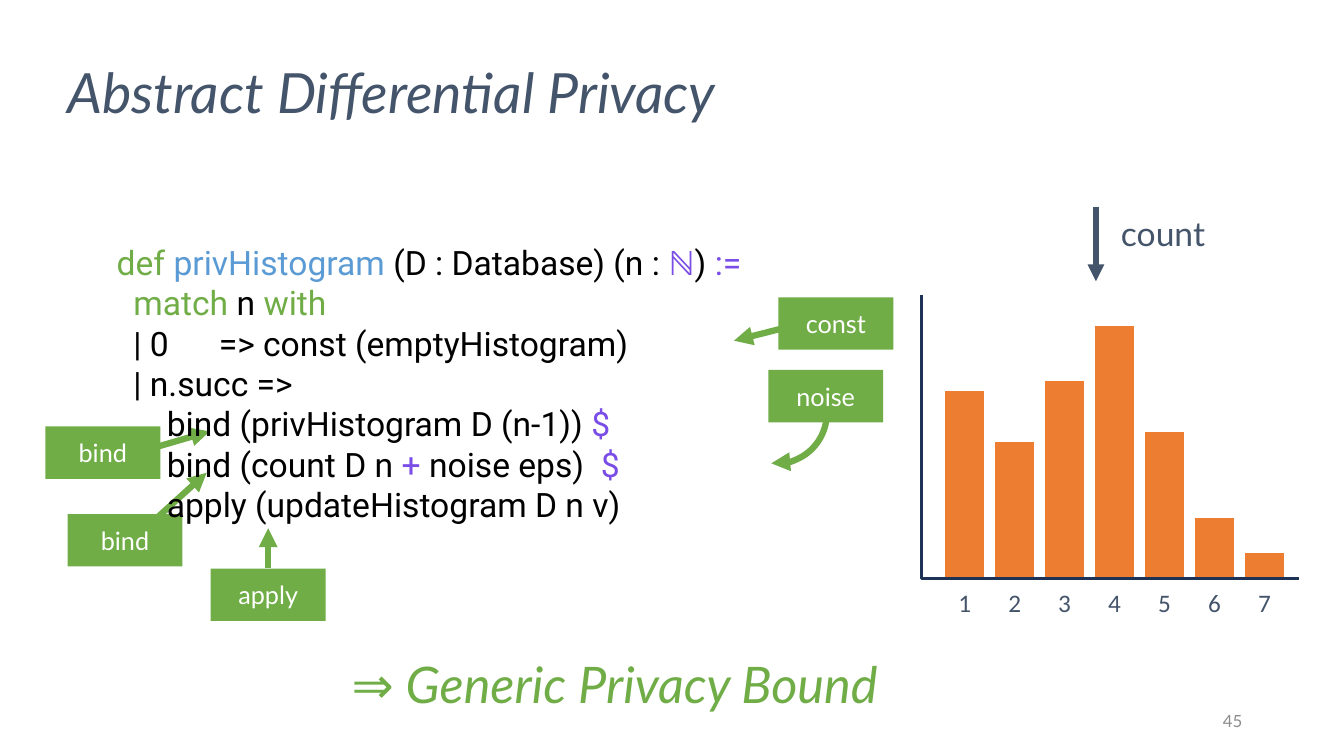
"""Build the Abstract Differential Privacy slide."""
from lxml import etree
from pptx import Presentation
from pptx.chart.data import CategoryChartData
from pptx.dml.color import RGBColor
from pptx.enum.chart import XL_CHART_TYPE as ChartType, XL_TICK_MARK as TickMark
from pptx.enum.shapes import MSO_CONNECTOR as Connector, MSO_SHAPE as Preset
from pptx.enum.text import MSO_ANCHOR as Anchor, PP_ALIGN as Align
from pptx.oxml import parse_xml
from pptx.oxml.ns import nsdecls, qn
from pptx.util import Inches, Pt

COLORS = {
    "slate": "44546A", "green": "70AD47", "orange": "ED7D31", "navy": "1E3256",
    "blue": "5B9BD5", "purple": "7A4DE7", "black": "000000", "white": "FFFFFF",
    "gray": "8C8C8C",
}
CODE = [
    [("def ", "green"), ("privHistogram", "blue"), (" (D : Database) (n : ", "black"),
     ("ℕ", "purple"), (") ", "black"), (":=", "purple")],
    [("  ", "black"), ("match", "green"), (" n ", "black"), ("with", "green")],
    [("  | 0      => const (emptyHistogram)", "black")],
    [("  | n.succ =>", "black")],
    [("      bind (privHistogram D (n-1)) ", "black"), ("$", "purple")],
    [("      bind (count D n ", "black"), ("+", "purple"),
     (" noise eps)  ", "black"), ("$", "purple")],
    [("      apply (updateHistogram D n v)", "black")],
]
COUNTS = [37, 27, 39, 50, 29, 12, 5]
COUNT_LIMIT = 56
TAGS = [("bind", 0.45, 4.23), ("apply", 2.09, 5.64), ("noise", 7.62, 3.67),
        ("const", 7.72, 2.95), ("bind", 0.67, 5.1)]
TAG_ARROWS = [((7.95, 3.21), (7.28, 3.38)), ((1.51, 5.18), (2.05, 4.69)),
              ((1.36, 4.49), (2.08, 4.28))]


def rgb(color):
    """Return the named color."""
    return RGBColor.from_string(COLORS[color])


def style_font(font, size, color, name="Lato", italic=False):
    """Set typeface, size, color and slant."""
    font.name, font.size, font.italic = name, Pt(size), italic
    font.color.rgb = rgb(color)


def add_text(slide, box, text, size, color, align=Align.LEFT,
             anchor=Anchor.MIDDLE, italic=False):
    """Add a one-line text box and return its paragraph."""
    shape = slide.shapes.add_textbox(*map(Inches, box))
    frame = shape.text_frame
    frame.word_wrap, frame.vertical_anchor = True, anchor
    paragraph = frame.paragraphs[0]
    paragraph.text, paragraph.alignment = text, align
    for run in paragraph.runs:
        style_font(run.font, size, color, italic=italic)
    return paragraph


def add_code(slide, box, lines):
    """Add the highlighted program."""
    frame = slide.shapes.add_textbox(*map(Inches, box)).text_frame
    frame.word_wrap = True
    for index, line in enumerate(lines):
        paragraph = frame.add_paragraph() if index else frame.paragraphs[0]
        for text, color in line:
            run = paragraph.add_run()
            run.text = text
            style_font(run.font, 24, color, "Roboto")


def add_tag(slide, text, left, top):
    """Add a green operator tag."""
    shape = slide.shapes.add_shape(
        Preset.RECTANGLE, *map(Inches, (left, top, 1.14, 0.52)))
    shape.shadow.inherit = False
    shape.fill.solid()
    shape.fill.fore_color.rgb = rgb("green")
    shape.line.fill.background()
    frame = shape.text_frame
    frame.text, frame.vertical_anchor = text, Anchor.MIDDLE
    paragraph = frame.paragraphs[0]
    paragraph.alignment = Align.CENTER
    style_font(paragraph.runs[0].font, 18, "white")
    return shape


def style_arrow(shape, color, width):
    """Color the line and end it in a triangle."""
    shape.line.color.rgb, shape.line.width = rgb(color), Pt(width)
    etree.SubElement(shape.line._get_or_add_ln(), qn("a:tailEnd"), type="triangle")


def add_arrow(slide, start, end, color="green", width=4.5):
    """Add a straight arrow."""
    arrow = slide.shapes.add_connector(
        Connector.STRAIGHT, *map(Inches, (*start, *end)))
    style_arrow(arrow, color, width)
    etree.SubElement(arrow._element.spPr, qn("a:effectLst"))
    return arrow


def add_arc_arrow(slide, box, rotation):
    """Add a quarter-circle arrow."""
    arc = slide.shapes.add_shape(Preset.ARC, *map(Inches, box))
    arc.rotation = rotation
    arc.fill.background()
    style_arrow(arc, "green", 4.5)
    arc.shadow.inherit = False


def add_histogram(slide):
    """Add the bar chart and its axis lines."""
    left, top, width, height = 9.14, 2.93, 3.74, 3.4
    plot_left, plot_width, plot_height = 0.18, 3.47, 2.81
    data = CategoryChartData()
    data.categories = [str(number) for number in range(1, len(COUNTS) + 1)]
    data.add_series("count", COUNTS)
    chart = slide.shapes.add_chart(
        ChartType.COLUMN_CLUSTERED,
        *map(Inches, (left, top, width, height)), data).chart
    chart.has_legend = chart.has_title = False
    style_font(chart.font, 18, "slate", "Calibri")

    plot = chart.plots[0]
    plot.vary_by_categories, plot.gap_width = False, 30
    fill = plot.series[0].format.fill
    fill.solid()
    fill.fore_color.rgb = rgb("orange")

    values = chart.value_axis
    values.minimum_scale, values.maximum_scale = 0, COUNT_LIMIT
    values.has_major_gridlines = values.visible = False
    categories = chart.category_axis
    categories.major_tick_mark = TickMark.OUTSIDE
    categories.tick_labels.offset = 200
    categories.format.line.fill.background()

    plot_area = chart._chartSpace.chart.plotArea
    for layout in plot_area.findall(qn("c:layout")):
        plot_area.remove(layout)
    plot_area.insert(0, parse_xml(
        f'<c:layout {nsdecls("c")}><c:manualLayout><c:layoutTarget val="inner"/>'
        '<c:xMode val="edge"/><c:yMode val="edge"/>'
        f'<c:x val="{plot_left / width}"/><c:y val="0"/>'
        f'<c:w val="{plot_width / width}"/><c:h val="{plot_height / height}"/>'
        '</c:manualLayout></c:layout>'))

    bottom = top + plot_height
    builder = slide.shapes.build_freeform(Inches(left), Inches(top))
    builder.add_line_segments(
        [(Inches(left), Inches(bottom)), (Inches(left + width), Inches(bottom))],
        close=False)
    axes = builder.convert_to_shape()
    axes.fill.background()
    axes.line.color.rgb, axes.line.width = rgb("navy"), Pt(2.25)
    axes.shadow.inherit = False


def main():
    """Assemble and save the slide."""
    presentation = Presentation()
    presentation.slide_width, presentation.slide_height = Inches(13.33), Inches(7.5)
    slide = presentation.slides.add_slide(presentation.slide_layouts[6])

    add_text(slide, (9.42, 6.95, 3, 0.4), "45", 12, "gray", Align.RIGHT)
    add_histogram(slide)

    tags = [add_tag(slide, *tag) for tag in TAGS]
    for start, end in TAG_ARROWS:
        add_arrow(slide, start, end)
    add_arrow(slide, (2.66, 5.64), (2.66, 5.24)).begin_connect(tags[1], 0)
    add_arc_arrow(slide, (7.2, 3.6, 1, 1), 95.8)

    bound = add_text(slide, (3.39, 6.43, 6.67, 0.71), "⇒", 36, "green",
                     anchor=Anchor.TOP)
    run = bound.add_run()
    run.text = " Generic Privacy Bound"
    style_font(run.font, 36, "green", italic=True)

    add_text(slide, (10.72, 2.1, 1.63, 0.42), "count", 24, "slate", Align.CENTER)
    add_arrow(slide, (10.87, 2.05), (10.87, 2.79), "slate", 4)
    title = add_text(slide, (0.57, 0.66, 12, 0.65), "Abstract Differential Privacy",
                     39.6, "slate", italic=True)
    title.line_spacing = 0.7
    add_code(slide, (1.06, 2.35, 7.76, 3.23), CODE)
    presentation.save("out.pptx")


if __name__ == "__main__":
    main()
